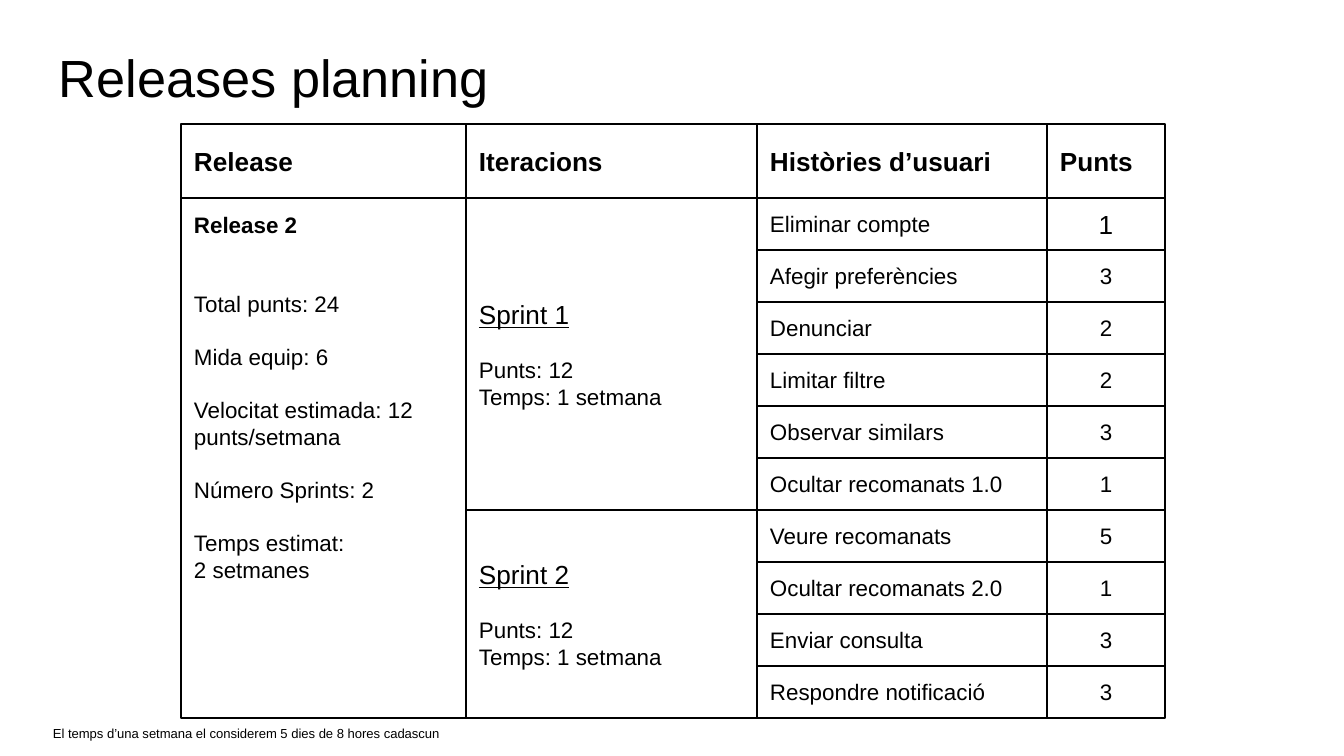
from dataclasses import dataclass

from pptx import Presentation
from pptx import util as u
from pptx.dml.color import RGBColor
from pptx.enum import shapes, text

BLACK = RGBColor(0x00, 0x00, 0x00)
EMU_PER_PX = 914400 / 134.4
SLIDE_W, SLIDE_H = 1344, 756
INSET = 13
COLUMN_EDGES = (181, 466, 757, 1047, 1165)
HEADER_TOP, BODY_TOP, ROW_H = 124, 198, 52
LINE_GAP = 14


@dataclass(frozen=True)
class Line:
    wording: str
    size: int = 12
    bold: bool = False
    underline: bool = False
    gap: int = 0


@dataclass(frozen=True)
class Story:
    title: str
    points: int
    points_size: int = 12


@dataclass(frozen=True)
class Sprint:
    title: str
    points: int
    stories: tuple[Story, ...]


HEADINGS = ("Release", "Iteracions", "Històries d’usuari", "Punts")

RELEASE = (
    Line("Release 2", bold=True),
    Line("Total punts: 24", gap=2 * LINE_GAP),
    Line("Mida equip: 6", gap=LINE_GAP),
    Line("Velocitat estimada: 12 punts/setmana", gap=LINE_GAP),
    Line("Número Sprints: 2", gap=LINE_GAP),
    Line("Temps estimat:", gap=LINE_GAP),
    Line("2 setmanes"),
)

SPRINTS = (
    Sprint("Sprint 1", 12, (
        Story("Eliminar compte", 1, 14),
        Story("Afegir preferències", 3),
        Story("Denunciar", 2),
        Story("Limitar filtre", 2),
        Story("Observar similars", 3),
        Story("Ocultar recomanats 1.0", 1),
    )),
    Sprint("Sprint 2", 12, (
        Story("Veure recomanats", 5),
        Story("Ocultar recomanats 2.0", 1),
        Story("Enviar consulta", 3),
        Story("Respondre notificació", 3),
    )),
)


def px(length: int) -> u.Emu:
    return u.Emu(round(length * EMU_PER_PX))


def write(frame, lines: tuple[Line, ...], anchor=text.MSO_ANCHOR.TOP,
          align=text.PP_ALIGN.LEFT) -> None:
    frame.word_wrap = True
    frame.vertical_anchor = anchor
    frame.margin_left = frame.margin_right = px(INSET)
    frame.margin_top = frame.margin_bottom = px(INSET)
    for index, line in enumerate(lines):
        paragraph = frame.add_paragraph() if index else frame.paragraphs[0]
        paragraph.alignment = align
        paragraph.space_before = u.Pt(line.gap)
        run = paragraph.add_run()
        run.text = line.wording
        run.font.name = "Arial"
        run.font.size = u.Pt(line.size)
        run.font.bold = line.bold
        run.font.underline = line.underline
        run.font.color.rgb = BLACK


def draw_text(slide, left: int, top: int, width: int, height: int, line: Line) -> None:
    box = slide.shapes.add_textbox(px(left), px(top), px(width), px(height))
    write(box.text_frame, (line,))


def draw_cell(slide, column: int, top: int, height: int, lines: tuple[Line, ...],
              anchor=text.MSO_ANCHOR.MIDDLE, align=text.PP_ALIGN.LEFT) -> None:
    left, right = COLUMN_EDGES[column:column + 2]
    cell = slide.shapes.add_shape(shapes.MSO_SHAPE.RECTANGLE, px(left), px(top),
                                  px(right - left), px(height))
    cell.shadow.inherit = False
    cell.fill.background()
    cell.line.color.rgb = BLACK
    cell.line.width = u.Pt(0.75)
    write(cell.text_frame, lines, anchor, align)


def draw_sprint(slide, sprint: Sprint, top: int) -> int:
    height = len(sprint.stories) * ROW_H
    draw_cell(slide, 1, top, height, (
        Line(sprint.title, 14, underline=True),
        Line(f"Punts: {sprint.points}", gap=LINE_GAP),
        Line("Temps: 1 setmana"),
    ))
    for row, story in enumerate(sprint.stories):
        row_top = top + row * ROW_H
        draw_cell(slide, 2, row_top, ROW_H, (Line(story.title),))
        draw_cell(slide, 3, row_top, ROW_H, (Line(str(story.points), story.points_size),),
                  align=text.PP_ALIGN.CENTER)
    return top + height


def main() -> None:
    deck = Presentation()
    deck.slide_width, deck.slide_height = px(SLIDE_W), px(SLIDE_H)
    slide = deck.slides.add_slide(deck.slide_layouts[6])

    draw_text(slide, 46, 32, 1252, 85, Line("Releases planning", 28))
    for column, heading in enumerate(HEADINGS):
        draw_cell(slide, column, HEADER_TOP, BODY_TOP - HEADER_TOP,
                  (Line(heading, 14, bold=True),))

    bottom = BODY_TOP
    for sprint in SPRINTS:
        bottom = draw_sprint(slide, sprint, bottom)
    draw_cell(slide, 0, BODY_TOP, bottom - BODY_TOP, RELEASE, text.MSO_ANCHOR.TOP)

    draw_text(slide, 40, bottom, 585, 24,
              Line("El temps d’una setmana el considerem 5 dies de 8 hores cadascun", 7))
    deck.save("out.pptx")


if __name__ == "__main__":
    main()
